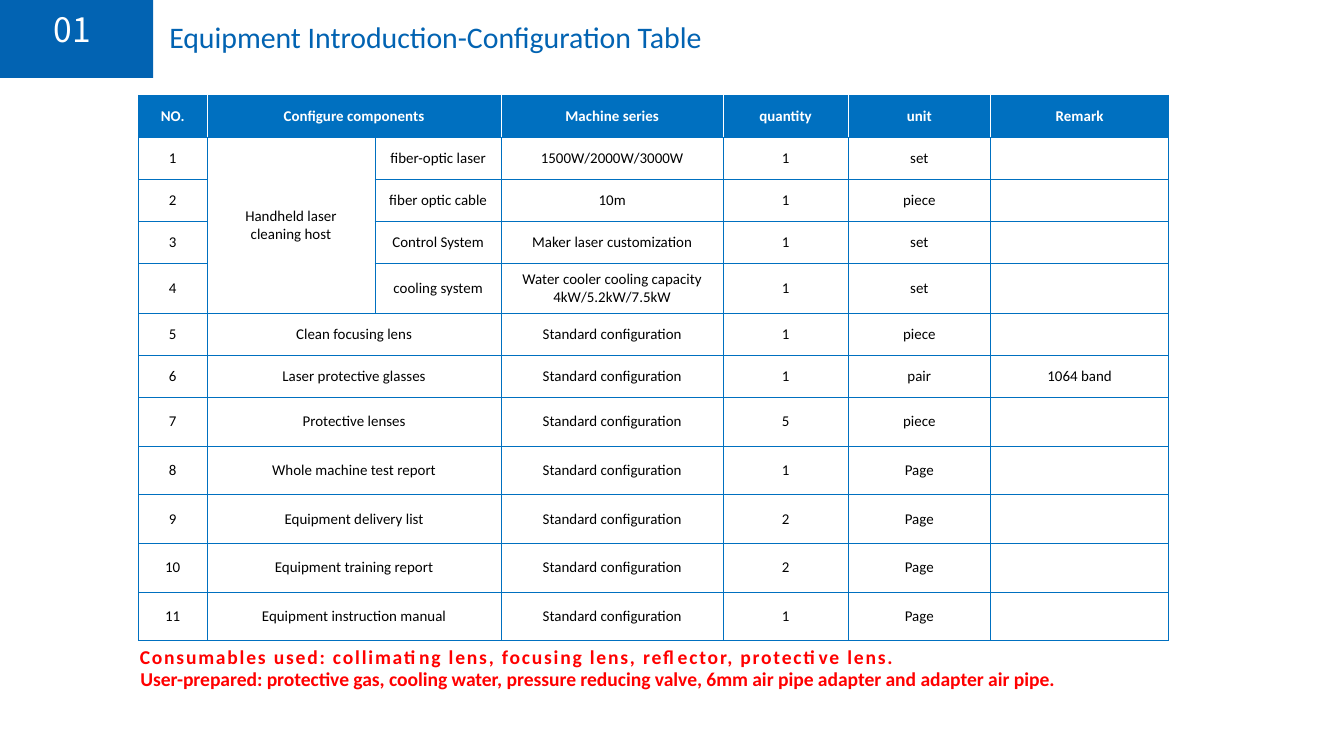
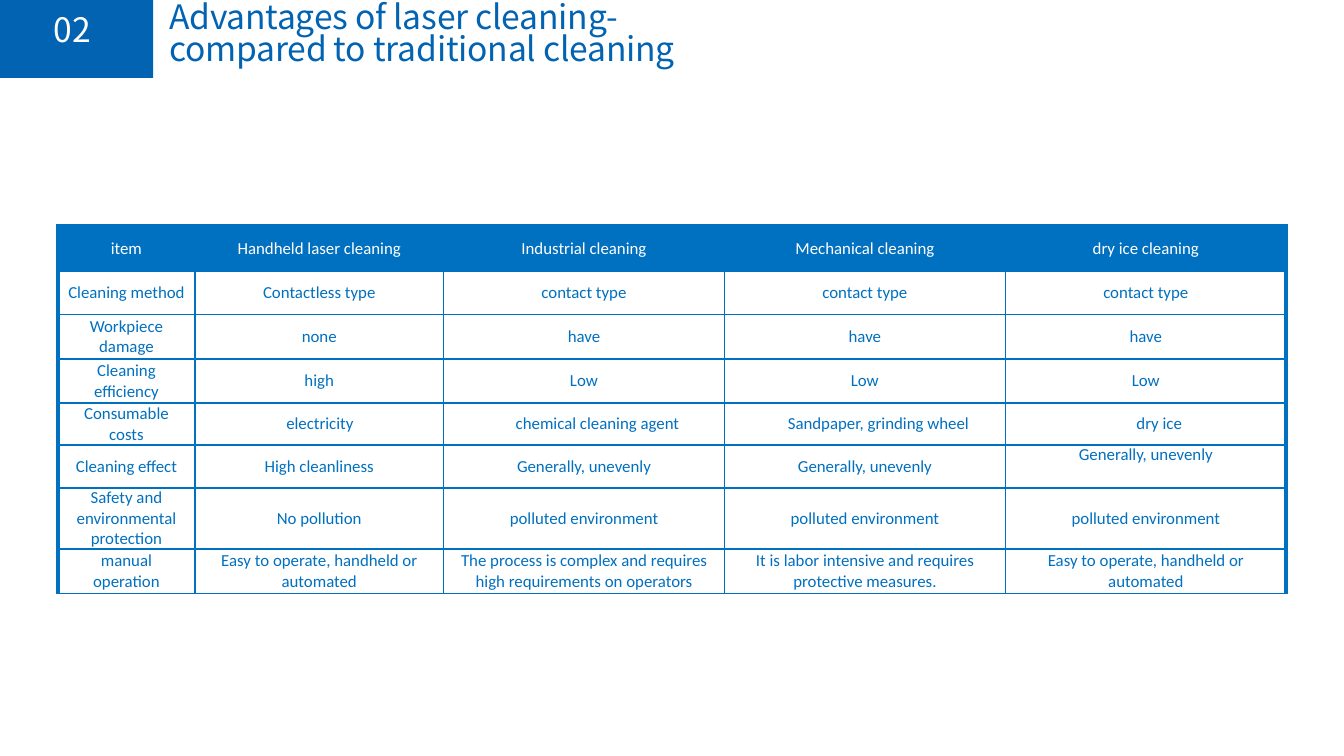
from dataclasses import dataclass, field
from typing import Any

from lxml import etree
from pptx import Presentation
from pptx import util as u
from pptx.dml.color import RGBColor
from pptx.enum import shapes, text
from pptx.oxml import ns

Pt = u.Pt
NAVY, BLUE, WHITE, BLACK, RED = "0263B2", "0070C0", "FFFFFF", "000000", "FF0000"
SANS, CJK = "Calibri", "Noto Sans CJK SC"
MID, TOP = text.MSO_ANCHOR.MIDDLE, text.MSO_ANCHOR.TOP
LEFT, MIDDLE = text.PP_ALIGN.LEFT, text.PP_ALIGN.CENTER


@dataclass
class Box:
    """A place on the slide, in points."""
    x: float
    y: float
    w: float
    h: float


@dataclass
class Head:
    """The number and title at the top of a slide."""
    num: str
    title: str
    box: Box
    inset: float
    form: dict[str, Any]


@dataclass
class Grid:
    """A table with its sizes, spans and style."""
    x: float
    y: float
    cols: list[float]
    rows: list[float]
    data: list[list[str]]
    size: float
    ink: str
    rule: float
    edge: float
    split: str
    bold: bool = False
    pad: tuple[float, float] = (7.2, 3.6)
    spans: list[tuple[int, int, int, int]] = field(default_factory=list)
    forms: dict[tuple[int, int], dict[str, Any]] = field(default_factory=dict)
    tops: list[tuple[int, int]] = field(default_factory=list)


def tint(code: str) -> RGBColor:
    """Turn a hex string into a colour."""
    return RGBColor.from_string(code)


def write(para: Any, words: str, *, size: float, ink: str, face: str = SANS,
          bold: bool = False, track: float = 0, left: float = 0,
          lead: Any = None, gap: float = 0, align: Any = LEFT) -> None:
    """Write formatted words into a paragraph."""
    para.alignment = align
    if left:
        para._p.get_or_add_pPr().set("marL", str(Pt(left)))
    if lead:
        para.line_spacing = lead
    if gap:
        para.space_before = Pt(gap)
    if not words:
        end = etree.SubElement(para._p, ns.qn("a:endParaRPr"))
        end.set("sz", str(int(size * 100)))
        return
    run = para.add_run()
    run.text = words
    font = run.font
    font.size, font.name, font.bold = Pt(size), face, bold
    font.color.rgb = tint(ink)
    if track:
        run._r.get_or_add_rPr().set("spc", str(round(track * 100)))


def frame(shape: Any, inset: float) -> Any:
    """Ready the text frame of a shape with a top inset."""
    body = shape.text_frame
    body.word_wrap = True
    body.auto_size = text.MSO_AUTO_SIZE.NONE
    body.vertical_anchor = TOP
    body.margin_left = body.margin_right = body.margin_bottom = 0
    body.margin_top = Pt(inset)
    return body


def block(slide: Any, box: Box, fill: str, line: str = "") -> Any:
    """Draw a flat rectangle."""
    shape = slide.shapes.add_shape(shapes.MSO_SHAPE.RECTANGLE, Pt(box.x),
                                   Pt(box.y), Pt(box.w), Pt(box.h))
    shape.shadow.inherit = False
    shape.fill.solid()
    shape.fill.fore_color.rgb = tint(fill)
    if line:
        shape.line.color.rgb = tint(line)
        shape.line.width = Pt(0.75)
    else:
        shape.line.fill.background()
    return shape


def label(slide: Any, box: Box, inset: float) -> Any:
    """Add a text box and return its frame."""
    shape = slide.shapes.add_textbox(Pt(box.x), Pt(box.y), Pt(box.w), Pt(box.h))
    return frame(shape, inset)


def crown(slide: Any, head: Head) -> None:
    """Draw the number band and the title."""
    block(slide, Box(0, 0, 211, 40.3), WHITE, WHITE)
    band = block(slide, Box(0, 0, 82.1, 41.8), NAVY)
    write(frame(band, 8.5).paragraphs[0], head.num, size=18, ink=WHITE,
          face=CJK, track=0.3, left=28.8, lead=0.84)
    body = label(slide, head.box, head.inset)
    write(body.paragraphs[0], head.title, ink=NAVY, left=0.7, **head.form)


def border(cell: Any, sides: dict[str, tuple[str, float]]) -> None:
    """Set the four borders of a cell."""
    props = cell._tc.get_or_add_tcPr()
    for spot, (side, (ink, width)) in enumerate(sides.items()):
        line = etree.Element(ns.qn(f"a:ln{side}"), w=str(Pt(width)))
        fill = etree.SubElement(line, ns.qn("a:solidFill"))
        etree.SubElement(fill, ns.qn("a:srgbClr"), val=ink)
        props.insert(spot, line)


def table(slide: Any, grid: Grid) -> None:
    """Draw a table from its grid."""
    high, wide = len(grid.rows), len(grid.cols)
    tab = slide.shapes.add_table(high, wide, Pt(grid.x), Pt(grid.y),
                                 Pt(sum(grid.cols)), Pt(sum(grid.rows))).table
    tab.horz_banding = False
    for col, width in zip(tab.columns, grid.cols):
        col.width = Pt(width)
    for row, height in zip(tab.rows, grid.rows):
        row.height = Pt(height)
    for r, line in enumerate(grid.data):
        for c, words in enumerate(line):
            cell, first = tab.cell(r, c), r == 0
            cell.fill.solid()
            cell.fill.fore_color.rgb = tint(BLUE if first else WHITE)
            side = grid.split if first else BLUE
            rim, thin = (BLUE, grid.edge), (side, grid.rule)
            border(cell, {"L": thin if c else rim,
                          "R": thin if c < wide - 1 else rim,
                          "T": rim if first else (BLUE, grid.rule),
                          "B": (BLUE, grid.rule)})
            cell.vertical_anchor = TOP if (r, c) in grid.tops else MID
            cell.margin_left = cell.margin_right = Pt(grid.pad[0])
            cell.margin_top = cell.margin_bottom = Pt(grid.pad[1])
            body = cell.text_frame
            for n, part in enumerate(words.split("\n")):
                para = body.add_paragraph() if n else body.paragraphs[0]
                write(para, part, size=grid.size, align=MIDDLE,
                      ink=WHITE if first else grid.ink,
                      bold=first and grid.bold, **grid.forms.get((r, c), {}))
    for r, c, end, last in grid.spans:
        tab.cell(r, c).merge(tab.cell(end, last))


HOST = [
    ["fiber-optic laser", "1500W/2000W/3000W", "1", "set"],
    ["fiber optic cable", "10m", "1", "piece"],
    ["Control System", "Maker laser customization", "1", "set"],
    ["cooling system", "Water cooler cooling capacity\n4kW/5.2kW/7.5kW", "1", "set"],
]
PARTS = [
    ["Clean focusing lens", "1", "piece", ""],
    ["Laser protective glasses", "1", "pair", "1064 band"],
    ["Protective lenses", "5", "piece", ""],
    ["Whole machine test report", "1", "Page", ""],
    ["Equipment delivery list", "2", "Page", ""],
    ["Equipment training report", "2", "Page", ""],
    ["Equipment instruction manual", "1", "Page", ""],
]
KIT = [["NO.", "Configure components", "", "Machine series", "quantity", "unit", "Remark"]]
KIT += [[str(n), "" if n > 1 else "Handheld laser cleaning host", *row, ""]
        for n, row in enumerate(HOST, 1)]
KIT += [[str(n), name, "", "Standard configuration", *rest]
        for n, (name, *rest) in enumerate(PARTS, len(HOST) + 1)]

EASY = "Easy to operate, handheld or automated"
RIVALS = [
    ["item", "Handheld laser cleaning", "Industrial cleaning",
     "Mechanical cleaning", "dry ice cleaning"],
    ["Cleaning method", "Contactless type"] + ["contact type"] * 3,
    ["Workpiece damage", "none"] + ["have"] * 3,
    ["Cleaning efficiency", "high"] + ["Low"] * 3,
    ["Consumable costs", "electricity", "chemical cleaning agent",
     "Sandpaper, grinding wheel", "dry ice"],
    ["Cleaning effect", "High cleanliness"] + ["Generally, unevenly"] * 3,
    ["Safety and environmental protection", "No pollution"]
    + ["polluted environment"] * 3,
    ["manual operation", EASY,
     "The process is complex and requires high requirements on operators",
     "It is labor intensive and requires protective measures.", EASY],
]
COST = 4


def setup(slide: Any) -> None:
    """Build the configuration slide."""
    crown(slide, Head("01", "Equipment Introduction-Configuration Table",
                      Box(90, 10.1, 288, 23), 1, {"size": 16, "lead": 0.97}))
    spans = [(0, 1, 0, 2), (1, 1, 4, 1)]
    spans += [(r, 1, r, 2) for r in range(5, len(KIT))]
    table(slide, Grid(74.2, 51.1, [36.7, 90, 67.7, 118.8, 67, 76.3, 95.5],
                      [22.5] * 7 + [26.1] * 5, KIT, 8, BLACK, 0.5, 0.5, WHITE,
                      bold=True, spans=spans))
    body = label(slide, Box(74.2, 343.4, 537.1, 38.2), 3)
    write(body.paragraphs[0], "Consumables used: collimating lens, focusing lens, "
          "reflector, protective lens.", size=10.5, ink=RED, bold=True, track=1,
          left=0.7, lead=Pt(11.5))
    write(body.add_paragraph(), "User-prepared: protective gas, cooling water, "
          "pressure reducing valve, 6mm air pipe adapter and adapter air pipe.",
          size=10.5, ink=RED, bold=True, left=1, lead=Pt(11.4), gap=0.5)


def compare(slide: Any) -> None:
    """Build the comparison slide."""
    crown(slide, Head("02", "Advantages of laser cleaning-compared to traditional cleaning",
                      Box(90, 0, 300.2, 18), 2,
                      {"size": 18, "face": CJK, "track": -0.1, "lead": 0.8}))
    forms = {(COST, c): {"left": 14.4 if c > 1 else 0.7, "lead": 1.5}
             for c in range(1, 5)}
    table(slide, Grid(31, 121, [73.4, 133.2] + [150.5] * 3,
                      [24.5, 23, 23.8, 23.8, 22.3, 23, 23.8, 23.8], RIVALS,
                      9, BLUE, 1, 2.25, BLUE, pad=(4.3, 0), forms=forms,
                      tops=[*forms, (COST + 1, 4)]))


def main() -> None:
    """Build and save the deck."""
    deck = Presentation()
    deck.slide_width, deck.slide_height = Pt(720), Pt(405)
    for build in (setup, compare):
        build(deck.slides.add_slide(deck.slide_layouts[6]))
    deck.save("out.pptx")


if __name__ == "__main__":
    main()
